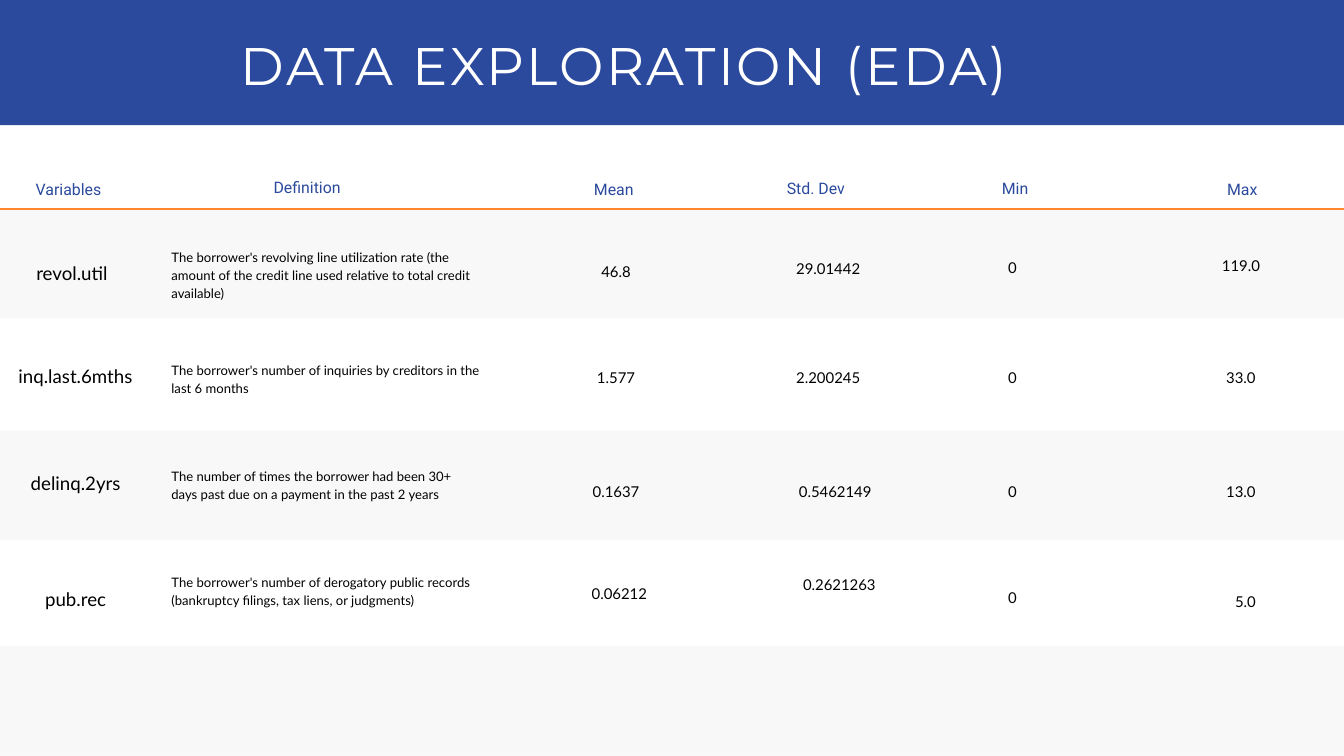
from lxml.etree import SubElement
from pptx import Presentation
from pptx.dml.color import RGBColor
from pptx.enum.shapes import MSO_CONNECTOR as Connector, MSO_SHAPE as Shape
from pptx.enum.text import MSO_ANCHOR as Anchor, MSO_AUTO_SIZE as AutoSize, PP_ALIGN as Align
from pptx.oxml.ns import qn
from pptx.util import Cm, Pt

BLUE, ORANGE, GREY, BLACK, WHITE = "2B4A9D", "FF862F", "F8F8F8", "000000", "FFFFFF"

TITLE = "DATA EXPLORATION (EDA)"
BANNER = (-1.19, -1.14, 52.91, 5.87)
BAND_LEFT, BAND_WIDTH, BAND_HEIGHT = -1.07, 52.93, 4.14
BAND_TOPS = (24.43, 16.28, 7.9)

HEADERS = [
    ("Variables", 1.35, 6.68),
    ("Definition", 10.34, 6.6),
    ("Mean", 22.45, 6.68),
    ("Std. Dev", 29.74, 6.65),
    ("Min", 37.87, 6.65),
    ("Max", 46.38, 6.68),
]
VARIABLES = [
    ("revol.util", 1.35, 9.75, 2.74),
    ("inq.last.6mths", 0.58, 13.67, 4.55),
    ("delinq.2yrs", 1.07, 17.7, 3.58),
    ("pub.rec", 1.63, 22.1, 2.46),
]
DEFINITION_LEFT = 6.48
DEFINITIONS = [
    ("The borrower's revolving line utilization rate (the amount of the credit line "
     "used relative to total credit available)", 9.32, 11.53),
    ("The borrower's number of inquiries by creditors in the last 6 months", 13.59, 12.01),
    ("The number of times the borrower had been 30+ days past due on a payment "
     "in the past 2 years", 17.6, 11.53),
    ("The borrower's number of derogatory public records (bankruptcy filings, "
     "tax liens, or judgments)", 21.62, 11.53),
]
STATISTICS = [
    ("46.8", 22.23, 9.83, 2.11),
    ("1.577", 22.23, 13.82, 2.11),
    ("0.1637", 22.23, 18.14, 2.11),
    ("0.06212", 22.23, 21.97, 2.36),
    ("29.01442", 29.92, 9.7, 2.77),
    ("2.200245", 29.92, 13.82, 2.77),
    ("0.5462149", 29.92, 18.14, 3.3),
    ("0.2621263", 30.2, 21.64, 3.05),
    ("0", 37.21, 9.68, 2.11),
    ("0", 37.21, 13.82, 2.11),
    ("0", 37.21, 18.14, 2.11),
    ("0", 37.21, 22.15, 2.11),
    ("119.0", 45.85, 9.6, 2.11),
    ("33.0", 45.85, 13.82, 2.11),
    ("13.0", 45.85, 18.14, 2.11),
    ("5.0", 46.02, 22.3, 2.11),
]


def rgb(color):
    return RGBColor.from_string(color)


def add_bar(slide, left, top, width, height, color):
    bar = slide.shapes.add_shape(Shape.RECTANGLE, Cm(left), Cm(top), Cm(width), Cm(height))
    bar.shadow.inherit = False
    bar.fill.solid()
    bar.fill.fore_color.rgb = rgb(color)
    bar.line.fill.background()


def add_rule(slide, left, top, width, color):
    rule = slide.shapes.add_connector(
        Connector.STRAIGHT, Cm(left), Cm(top), Cm(left + width), Cm(top))
    rule.line.color.rgb = rgb(color)
    rule.line.width = Pt(1.5)
    SubElement(rule._element.spPr, qn("a:effectLst"))


def write(slide, text, left, top, width, height, *, size, leading, font="Lato",
          color=BLACK, align=Align.LEFT, spacing=None, holder=None):
    box = holder or slide.shapes.add_textbox(0, 0, 0, 0)
    box.left, box.top, box.width, box.height = (Cm(v) for v in (left, top, width, height))
    frame = box.text_frame
    frame.margin_left = frame.margin_top = frame.margin_right = frame.margin_bottom = 0
    frame.word_wrap = True
    frame.auto_size = AutoSize.NONE
    frame.vertical_anchor = Anchor.TOP
    paragraph = frame.paragraphs[0]
    paragraph.alignment = align
    paragraph.line_spacing = Pt(leading)
    run = paragraph.add_run()
    run.text = text
    run.font.name = font
    run.font.size = Pt(size)
    run.font.color.rgb = rgb(color)
    if spacing:
        run.font._element.set("spc", str(int(spacing * 100)))


def main():
    """Build the data exploration slide and save it."""
    deck = Presentation()
    deck.slide_width, deck.slide_height = Cm(50.8), Cm(28.58)
    slide = deck.slides.add_slide(deck.slide_layouts[5])

    add_bar(slide, *BANNER, BLUE)
    for top in BAND_TOPS:
        add_bar(slide, BAND_LEFT, top, BAND_WIDTH, BAND_HEIGHT, GREY)
    add_rule(slide, BAND_LEFT, min(BAND_TOPS), BAND_WIDTH, ORANGE)

    title = slide.shapes.title
    slide.shapes._spTree.append(title._element)
    write(slide, TITLE, 9.09, 1.35, 36.55, 2.31, size=56.6, leading=65.1,
          font="Montserrat", color=WHITE, spacing=2.8, holder=title)

    for header, left, top in HEADERS:
        write(slide, header, left, top, 5.13, 0.79, size=17, leading=23.8,
              font="Roboto", color=BLUE)
    for variable, left, top, width in VARIABLES:
        write(slide, variable, left, top, width, 1.04, size=20, leading=28, align=Align.CENTER)
    for definition, top, width in DEFINITIONS:
        write(slide, definition, DEFINITION_LEFT, top, width, 2.13, size=14, leading=19.6)
    for value, left, top, width in STATISTICS:
        write(slide, value, left, top, width, 0.79, size=16, leading=22.4, align=Align.CENTER)

    deck.save("out.pptx")


if __name__ == "__main__":
    main()
